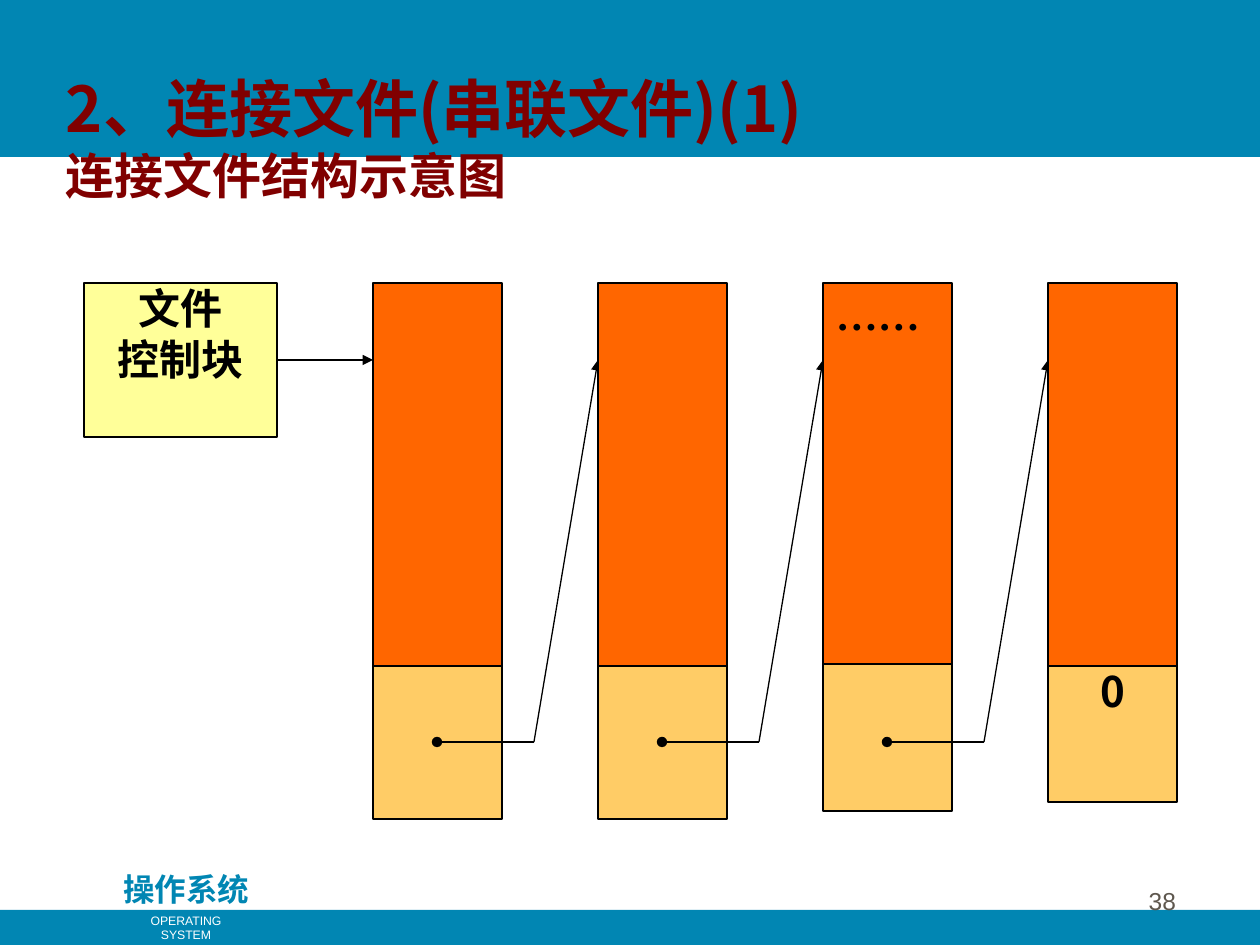
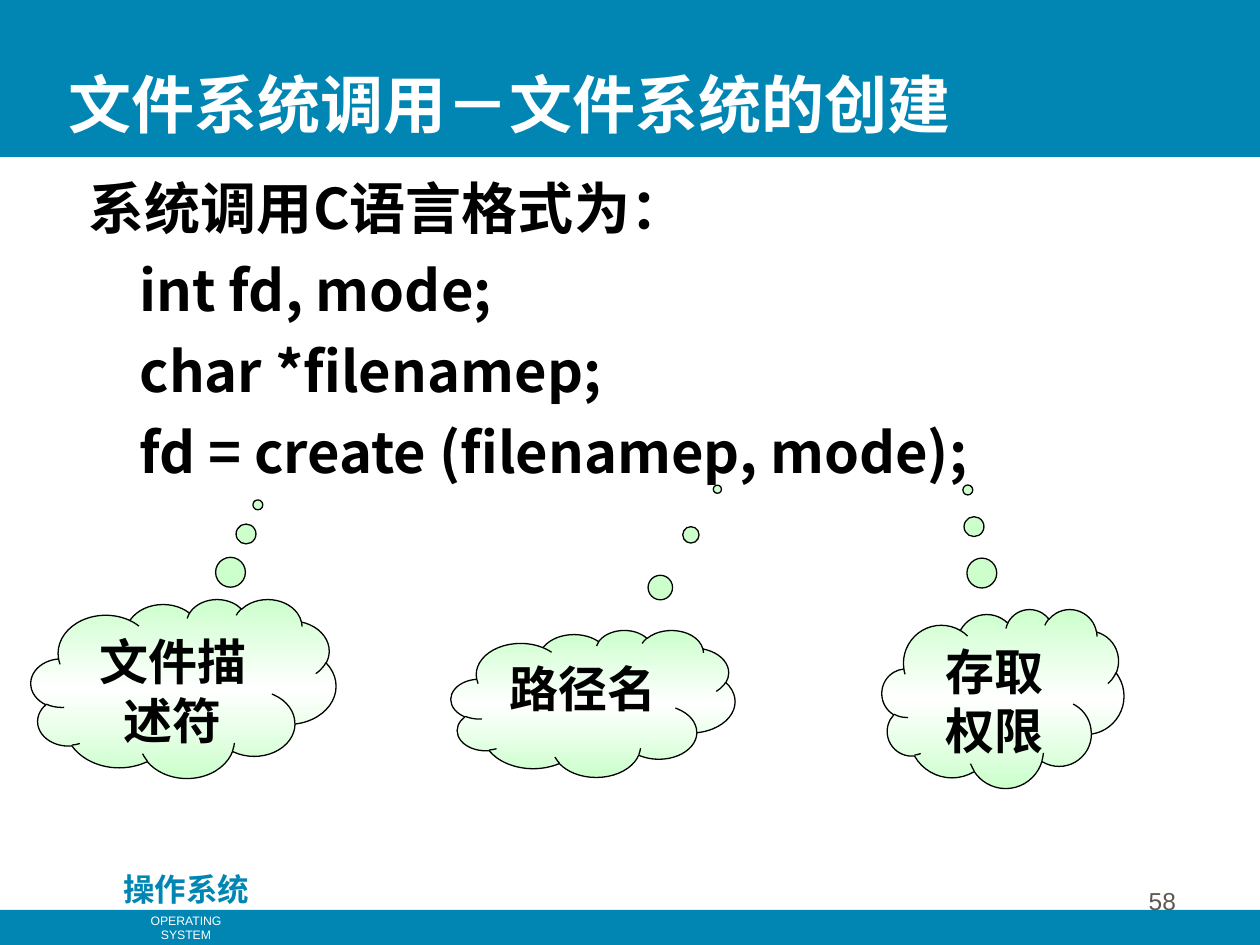
from dataclasses import dataclass
from typing import NamedTuple

from lxml import etree
from pptx import Presentation
from pptx import util as u
from pptx.dml.color import RGBColor
from pptx.enum import shapes, text
from pptx.oxml import ns
from pptx.shapes.autoshape import Shape
from pptx.shapes.connector import Connector
from pptx.slide import Slide

PX = u.Inches(1) / 126

BLUE, WHITE, BLACK, MAROON, GREY = "0186B3", "FFFFFF", "000000", "800000", "5E574E"
ORANGE, AMBER, YELLOW, MINT = "FF6600", "FFCC66", "FFFF99", "CCFFCC"
CJK, SANS, SERIF = "Noto Sans CJK SC", "Arial", "Times New Roman"
LEFT, CENTER, RIGHT, JUSTIFY = (
    text.PP_ALIGN.LEFT, text.PP_ALIGN.CENTER, text.PP_ALIGN.RIGHT, text.PP_ALIGN.JUSTIFY)
TOP, BOTTOM = text.MSO_ANCHOR.TOP, text.MSO_ANCHOR.BOTTOM
RECT, CLOUD = shapes.MSO_SHAPE.RECTANGLE, shapes.MSO_SHAPE.CLOUD_CALLOUT


class Box(NamedTuple):
    x: int
    y: int
    w: int
    h: int


class Point(NamedTuple):
    x: int
    y: int


class Style(NamedTuple):
    size: int
    color: str = BLACK
    font: str = CJK
    bold: bool = True


@dataclass
class Column:
    """One disk block: its data above, its link field below."""
    data_h: int
    link_y: int
    link_h: int
    data_text: str = ""
    link_text: str = ""


@dataclass
class Cloud:
    box: Box
    tip: tuple[float, float]
    label: str


def px(n: float) -> u.Emu:
    return u.Emu(round(n * PX))


def rgb(color: str) -> RGBColor:
    return RGBColor.from_string(color)


def add_run(p, words: str, style: Style) -> None:
    r = p.add_run()
    r.text = words
    r.font.size = u.Pt(style.size)
    r.font.bold = style.bold
    r.font.name = style.font
    r.font.color.rgb = rgb(style.color)
    ea = etree.SubElement(r.font._element, ns.qn("a:ea"))
    ea.set("typeface", CJK)


def write(sp: Shape, lines: list[str], style: Style, align=LEFT, anchor=TOP,
          inset: Point = Point(13, 6), gap: int = 0, wrap: bool = True) -> None:
    """Put one paragraph per line into a shape, gap points apart."""
    tf = sp.text_frame
    tf.word_wrap = wrap
    tf.vertical_anchor = anchor
    tf.margin_left = tf.margin_right = px(inset.x)
    tf.margin_top = tf.margin_bottom = px(inset.y)
    for i, line in enumerate(lines):
        p = tf.add_paragraph() if i else tf.paragraphs[0]
        p.alignment = align
        if i:
            p.space_before = u.Pt(gap)
        add_run(p, line, style)


def add_text(s: Slide, box: Box, lines: list[str], style: Style, **layout) -> Shape:
    sp = s.shapes.add_textbox(*map(px, box))
    write(sp, lines, style, **layout)
    return sp


def add_block(s: Slide, box: Box, fill: str, outlined: bool = True, kind=RECT) -> Shape:
    sp = s.shapes.add_shape(kind, *map(px, box))
    sp.shadow.inherit = False
    sp.fill.solid()
    sp.fill.fore_color.rgb = rgb(fill)
    if outlined:
        sp.line.color.rgb = rgb(BLACK)
        sp.line.width = u.Pt(0.75)
    else:
        sp.line.fill.background()
    return sp


def add_line(s: Slide, start: Point, end: Point, **ends: str) -> Connector:
    """Draw a line; ends maps headEnd (start) or tailEnd (end) to an arrowhead."""
    c = s.shapes.add_connector(shapes.MSO_CONNECTOR.STRAIGHT, *map(px, start + end))
    c.line.color.rgb = rgb(BLACK)
    c.line.width = u.Pt(0.75)
    for tag, kind in ends.items():
        etree.SubElement(c.line._get_or_add_ln(), ns.qn(f"a:{tag}")).set("type", kind)
    etree.SubElement(c._element.spPr, ns.qn("a:effectLst"))
    return c


def fade(sp: Shape, edge: str, middle: str) -> None:
    """Fill a shape with a vertical edge-middle-edge gradient."""
    sp.fill.gradient()
    sp.fill.gradient_angle = 270
    stops = sp._element.spPr.find(ns.qn("a:gradFill")).find(ns.qn("a:gsLst"))
    for stop in list(stops):
        stops.remove(stop)
    for percent, color in ((0, edge), (50, middle), (100, edge)):
        stop = etree.SubElement(stops, ns.qn("a:gs"), pos=str(percent * 1000))
        etree.SubElement(stop, ns.qn("a:srgbClr"), val=color)


def new_slide(prs, number: int) -> Slide:
    """Add a blank slide with the bands, course name and page number."""
    s = prs.slides.add_slide(prs.slide_layouts[6])
    add_block(s, Box(0, 0, 1260, 157), BLUE, outlined=False)
    add_block(s, Box(0, 910, 1260, 35), BLUE, outlined=False)
    add_text(s, Box(104, 864, 165, 50), ["操作系统"], Style(18, BLUE), align=CENTER)
    add_text(s, Box(111, 907, 150, 28), ["OPERATING SYSTEM"],
             Style(7, WHITE, SANS, False), align=CENTER, wrap=False)
    add_text(s, Box(927, 858, 262, 63), [str(number)],
             Style(14, GREY, SANS, False), align=RIGHT, anchor=BOTTOM)
    return s


def add_title(s: Slide, box: Box, title: str, color: str, subtitle: str = "") -> None:
    sp = add_text(s, box, [title], Style(36, color), anchor=BOTTOM)
    if subtitle:
        p = sp.text_frame.paragraphs[0]
        p.add_line_break()
        add_run(p, subtitle, Style(28, color))


def linked_file_slide(prs) -> None:
    s = new_slide(prs, 38)
    add_title(s, Box(53, 53, 1134, 157), "2、连接文件(串联文件)(1)", MAROON,
              "连接文件结构示意图")

    top, first_x, pitch, width = 283, 373, 225, 129
    entry_y, link_mid_y = 360, 742
    label = Style(24)
    flush = Point(0, 0)

    control = add_block(s, Box(84, top, 193, 154), YELLOW)
    write(control, ["文件", "控制块"], label, align=CENTER, inset=flush)
    arrow = add_line(s, Point(277, entry_y), Point(first_x, entry_y), tailEnd="triangle")
    arrow.begin_connect(control, 3)

    columns = [
        Column(383, 666, 153),
        Column(383, 666, 153),
        Column(381, 658, 153, data_text="……"),
        Column(383, 666, 136, link_text="0"),
    ]
    for i, col in enumerate(columns):
        x = first_x + i * pitch
        link = add_block(s, Box(x, col.link_y, width, col.link_h), AMBER)
        data = add_block(s, Box(x, top, width, col.data_h), ORANGE)
        if col.data_text:
            write(data, [col.data_text], Style(24, font=SERIF), align=JUSTIFY)
        if col.link_text:
            write(link, [col.link_text], label, align=CENTER, inset=flush)
        if i < len(columns) - 1:
            bend = Point(x + 161, link_mid_y)
            add_line(s, Point(x + width // 2, link_mid_y), bend, headEnd="oval")
            add_line(s, bend, Point(x + pitch, entry_y), tailEnd="triangle")


def create_call_slide(prs) -> None:
    s = new_slide(prs, 58)
    add_title(s, Box(55, 21, 1130, 126), "文件系统调用－文件系统的创建", WHITE)
    body = add_text(s, Box(63, 168, 1124, 577), [
        "系统调用C语言格式为：",
        "     int fd, mode;",
        "     char *filenamep;",
        "     fd = create (filenamep, mode);",
    ], Style(32), gap=8)
    heading = body.text_frame.paragraphs[0]
    heading._p.get_or_add_pPr().set("marL", str(px(13)))

    clouds = [
        Cloud(Box(451, 630, 284, 147), (0.438, -1.458), "路径名"),
        Cloud(Box(882, 609, 242, 179), (-0.145, -1.165), "存取权限"),
        Cloud(Box(31, 599, 305, 179), (0.244, -1.026), "文件描述符"),
    ]
    for cloud in clouds:
        sp = add_block(s, cloud.box, MINT, kind=CLOUD)
        fade(sp, MINT, WHITE)
        sp.adjustments[0], sp.adjustments[1] = cloud.tip
        write(sp, [cloud.label], Style(28, font=SERIF), align=CENTER)


def main() -> None:
    prs = Presentation()
    prs.slide_width, prs.slide_height = px(1260), px(945)
    linked_file_slide(prs)
    create_call_slide(prs)
    prs.save("out.pptx")


if __name__ == "__main__":
    main()
